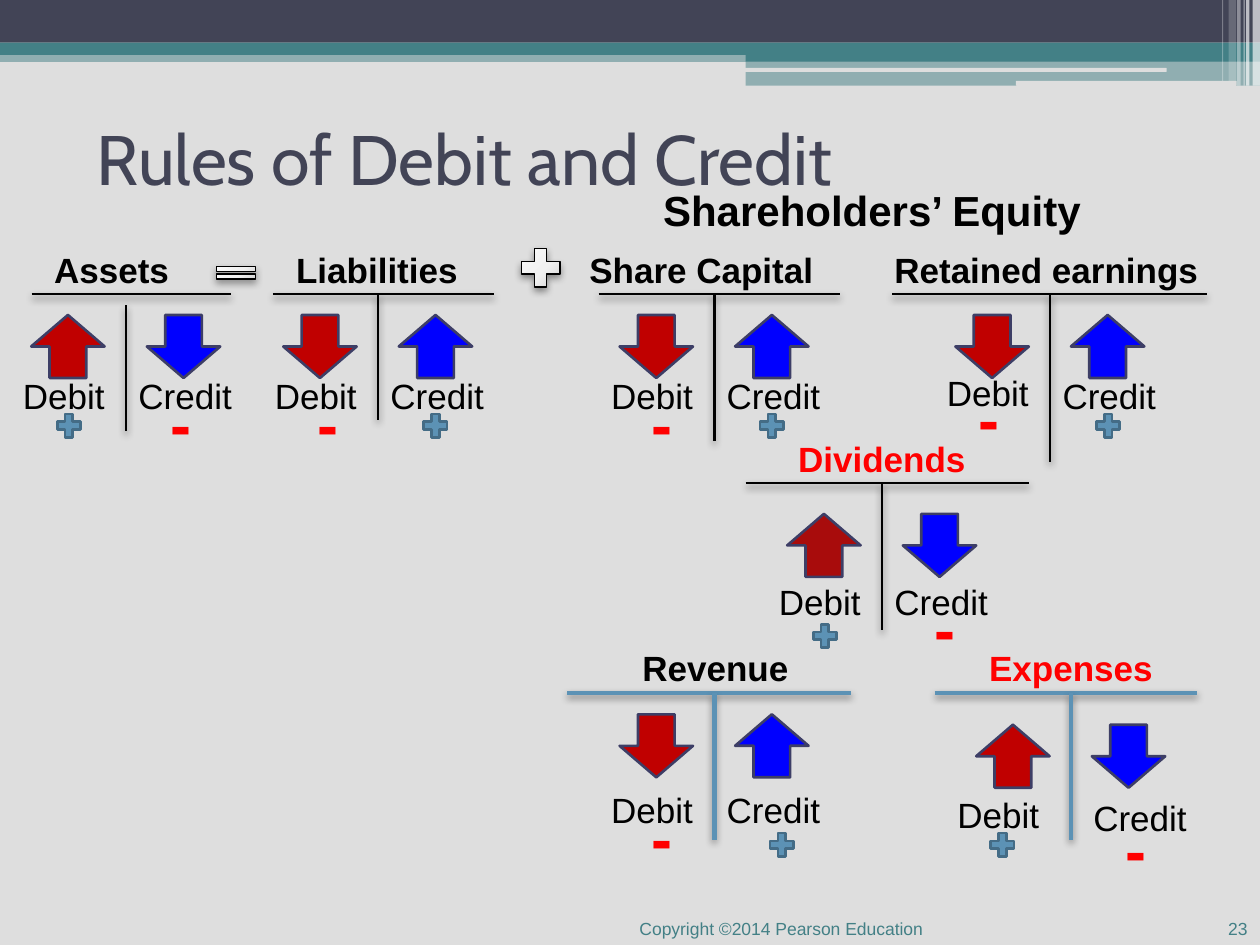
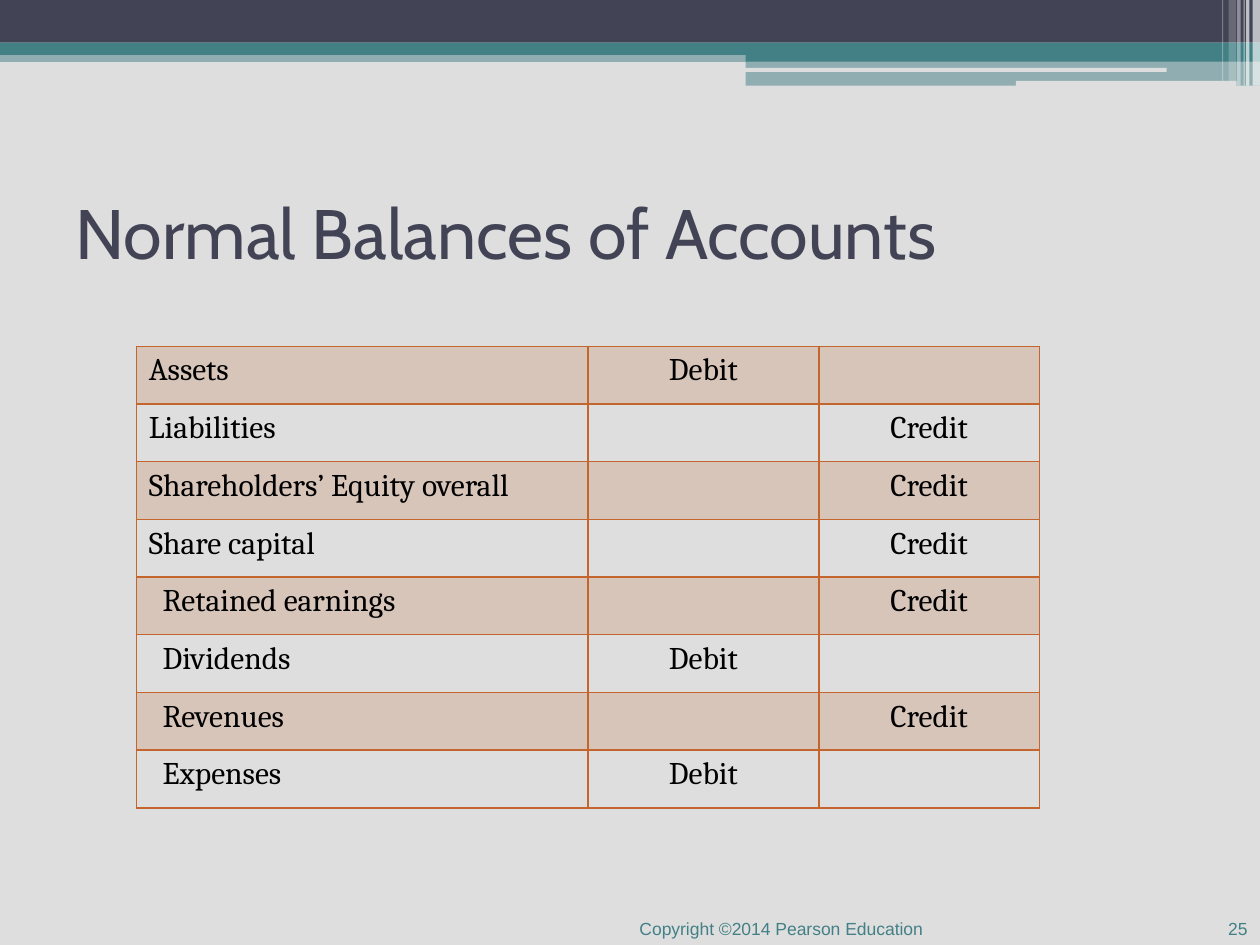
from dataclasses import dataclass
from typing import NamedTuple

from lxml.etree import SubElement
from pptx import Presentation
from pptx.dml.color import RGBColor
from pptx.enum.shapes import MSO_CONNECTOR, MSO_SHAPE
from pptx.enum.text import MSO_ANCHOR, MSO_AUTO_SIZE, PP_ALIGN
from pptx.oxml import parse_xml
from pptx.oxml.ns import nsdecls, qn
from pptx.util import Cm, Pt

COLOURS = {
    "background": "DEDEDE", "navy": "424456", "teal": "438086", "white": "FFFFFF",
    "black": "000000", "alert": "FF0000", "debit": "C00000", "dark debit": "A80C0C",
    "credit": "0000FF", "arrow edge": "3D3E66", "steel": "5C92B5",
    "plus edge": "446C86", "rust": "C4652D",
}
COPYRIGHT = "Copyright ©2014 Pearson Education"
ARROW_DX = {"Debit": -1.91, "Credit": 0.42}
BORDER_TAGS = ("a:lnL", "a:lnR", "a:lnT", "a:lnB")


class Box(NamedTuple):
    left: float
    top: float
    width: float
    height: float

    def lengths(self) -> tuple:
        return tuple(Cm(value) for value in self)


class Band(NamedTuple):
    box: Box
    colour: str
    opacity: int = 100
    rounded: bool = False


@dataclass
class Side:
    """Debit or credit half of an account, with its label and sign positions."""
    name: str
    increases: bool
    label: tuple[float, float]
    sign: tuple[float, float]
    colour: str = ""


@dataclass
class Account:
    name: str
    title: Box
    rule: tuple[float, float]
    rule_y: float
    stem_x: float
    stem: tuple[float, float]
    arrow_y: float
    sides: tuple[Side, Side]
    title_colour: str = "black"
    line_colour: str = "black"
    line_width: float = 1.5


BANDS = [
    Band(Box(0, 1.02, 25.4, 0.23), "teal", 50),
    Band(Box(0, 0, 25.4, 0.86), "navy"),
    Band(Box(0, 0.86, 25.4, 0.25), "teal"),
    Band(Box(15.03, 0.99, 10.37, 0.25), "teal"),
    Band(Box(15.03, 1.23, 10.37, 0.5), "teal", 50),
    Band(Box(15.01, 1.37, 8.51, 0.08), "background", rounded=True),
    Band(Box(20.48, 1.63, 4.45, 0.1), "background", rounded=True),
] + [
    Band(Box(left, 0, width, height), "white", opacity)
    for left, width, height, opacity in [
        (25.25, 0.15, 1.73, 65), (25.12, 0.07, 1.73, 65), (25.07, 0.02, 1.73, 60),
        (24.94, 0.07, 1.73, 40), (24.77, 0.15, 1.63, 20), (24.64, 0.02, 1.63, 30)]
]

ACCOUNTS = [
    Account("Assets", Box(0.84, 4.88, 3.61, 1.09), (0.64, 4.65), 5.93, 2.54, (6.15, 8.69), 6.35,
            (Side("Debit", True, (0.21, 7.42), (1.07, 8.26)),
             Side("Credit", False, (2.54, 7.42), (3.18, 7.62)))),
    Account("Liabilities", Box(5.72, 4.88, 4.45, 1.09), (5.5, 9.95), 5.93, 7.62, (5.93, 8.46), 6.35,
            (Side("Debit", False, (5.29, 7.42), (6.15, 7.62)),
             Side("Credit", True, (7.62, 7.42), (8.46, 8.26)))),
    Account("Share Capital", Box(11.63, 4.88, 5.72, 1.09), (12.07, 16.93), 5.93, 14.4, (5.93, 8.89), 6.35,
            (Side("Debit", False, (12.07, 7.42), (12.88, 7.62)),
             Side("Credit", True, (14.4, 7.42), (15.24, 8.26)))),
    Account("Retained earnings", Box(17.78, 4.88, 6.78, 1.09), (17.99, 24.34), 5.93, 21.17, (5.93, 9.31), 6.35,
            (Side("Debit", False, (18.84, 7.37), (19.48, 7.52)),
             Side("Credit", True, (21.17, 7.42), (22.02, 8.26)))),
    Account("Dividends", Box(15.84, 8.69, 4.24, 1.09), (15.03, 20.75), 9.74, 17.78, (9.74, 12.7), 10.36,
            (Side("Debit", True, (15.45, 11.58), (16.31, 12.5), "dark debit"),
             Side("Credit", False, (17.78, 11.58), (18.59, 11.76))), "alert"),
    Account("Revenue", Box(12.7, 12.9, 4.24, 1.09), (11.43, 17.15), 13.97, 14.4, (13.97, 16.93), 14.4,
            (Side("Debit", False, (12.07, 15.77), (12.88, 15.98)),
             Side("Credit", True, (14.4, 15.77), (15.44, 16.71))), "black", "steel", 2.5),
    Account("Expenses", Box(19.69, 12.9, 3.81, 1.09), (18.84, 24.13), 13.97, 21.59, (13.97, 16.93), 14.61,
            (Side("Debit", True, (19.05, 15.88), (19.89, 16.71)),
             Side("Credit", False, (21.79, 15.93), (22.43, 16.21))), "alert", "steel", 2.5),
]

# account, indent in cm, side of its normal balance
BALANCES = [
    ("Assets", 0, "Debit"), ("Liabilities", 0, "Credit"),
    ("Shareholders’ Equity overall", 0, "Credit"), ("Share capital", 0, "Credit"),
    ("Retained earnings", 0.28, "Credit"), ("Dividends", 0.28, "Debit"),
    ("Revenues", 0.28, "Credit"), ("Expenses", 0.28, "Debit"),
]


def rgb(name: str) -> RGBColor:
    return RGBColor.from_string(COLOURS[name])


def set_opacity(element, percent: int) -> None:
    """Make the first colour found in the element partly transparent."""
    SubElement(element.find(".//" + qn("a:srgbClr")), qn("a:alpha"), val=str(percent * 1000))


def add_shadow(element) -> None:
    properties = element.find(qn("p:spPr"))
    effects = properties.find(qn("a:effectLst"))
    if effects is None:
        effects = SubElement(properties, qn("a:effectLst"))
    shadow = SubElement(effects, qn("a:outerShdw"), blurRad="52070", dist="25400",
                        dir="5400000", rotWithShape="0")
    SubElement(SubElement(shadow, qn("a:srgbClr"), val=COLOURS["black"]), qn("a:alpha"), val="40000")


def add_figure(slide, kind, box: Box, fill: str, edge: str = "", edge_width: float = 1.5):
    figure = slide.shapes.add_shape(kind, *box.lengths())
    figure.shadow.inherit = False
    figure.fill.solid()
    figure.fill.fore_color.rgb = rgb(fill)
    if edge:
        figure.line.color.rgb = rgb(edge)
        figure.line.width = Pt(edge_width)
    else:
        figure.line.fill.background()
    return figure


def style_paragraph(paragraph, size: float, colour: str, face: str = "Arial",
                    bold: bool = False, align=PP_ALIGN.LEFT) -> None:
    paragraph.alignment = align
    font = paragraph.font
    font.size, font.name, font.bold = Pt(size), face, bold
    font.color.rgb = rgb(colour)


def add_text(slide, text: str, box: Box, size: float = 20, colour: str = "black",
             bold: bool = False, align=PP_ALIGN.LEFT, anchor=MSO_ANCHOR.TOP) -> None:
    frame = slide.shapes.add_textbox(*box.lengths()).text_frame
    frame.word_wrap = True
    frame.vertical_anchor = anchor
    frame.text = text
    style_paragraph(frame.paragraphs[0], size, colour, bold=bold, align=align)


def add_line(slide, start: tuple, end: tuple, colour: str, width: float) -> None:
    line = slide.shapes.add_connector(MSO_CONNECTOR.STRAIGHT, *(Cm(v) for v in start + end))
    line.line.color.rgb = rgb(colour)
    line.line.width = Pt(width)
    add_shadow(line.element)


def add_operator(slide, kind, box: Box) -> None:
    """Draw a sign of the accounting equation with a silver gradient."""
    operator = add_figure(slide, kind, box, "white", "black", 0.75)
    stops = "".join(f'<a:gs pos="{pos}"><a:srgbClr val="{colour}"/></a:gs>' for pos, colour in
                    [(0, "FEFEFE"), (55000, "F1F1F1"), (100000, "C5C5C5")])
    gradient = parse_xml(
        f'<a:gradFill {nsdecls("a")} rotWithShape="1"><a:gsLst>{stops}</a:gsLst><a:path path="circle">'
        '<a:fillToRect l="-40000" t="-90000" r="140000" b="190000"/></a:path></a:gradFill>')
    properties = operator.element.find(qn("p:spPr"))
    properties.replace(properties.find(qn("a:solidFill")), gradient)
    add_shadow(operator.element)


def add_side(slide, account: Account, side: Side) -> None:
    arrow_box = Box(account.stem_x + ARROW_DX[side.name], account.arrow_y, 1.48, 1.27)
    arrow = add_figure(slide, MSO_SHAPE.UP_ARROW, arrow_box,
                       side.colour or side.name.lower(), "arrow edge")
    arrow.rotation = 0 if side.increases else 180
    add_text(slide, side.name, Box(*side.label, 2.54, 1.09))
    if side.increases:
        add_figure(slide, MSO_SHAPE.MATH_PLUS, Box(*side.sign, 0.64, 0.64), "steel", "plus edge")
    else:
        add_text(slide, "-", Box(*side.sign, 1.7, 1.78), 36, "alert", bold=True)


def add_account(slide, account: Account) -> None:
    pen = account.line_colour, account.line_width
    left, right = account.rule
    top, bottom = account.stem
    add_line(slide, (left, account.rule_y), (right, account.rule_y), *pen)
    add_line(slide, (account.stem_x, top), (account.stem_x, bottom), *pen)
    add_text(slide, account.name, account.title, colour=account.title_colour, bold=True)
    for side in account.sides:
        add_side(slide, account, side)


def add_base_slide(deck, heading: str, box: Box, number: int):
    """Add a slide with the shared bands, title and footer."""
    slide = deck.slides.add_slide(deck.slide_layouts[5])
    for band in BANDS:
        kind = MSO_SHAPE.ROUNDED_RECTANGLE if band.rounded else MSO_SHAPE.RECTANGLE
        figure = add_figure(slide, kind, band.box, band.colour)
        if band.opacity < 100:
            set_opacity(figure.element, band.opacity)
    title = slide.shapes.title
    title.left, title.top, title.width, title.height = box.lengths()
    frame = title.text_frame
    frame.text = heading
    frame.auto_size = MSO_AUTO_SIZE.NONE
    frame.vertical_anchor = MSO_ANCHOR.MIDDLE
    style_paragraph(frame.paragraphs[0], 40, "navy", "Cabin")
    for text, footer in [(COPYRIGHT, Box(6.78, 18.2, 12.07, 0.85)),
                         (str(number), Box(23.29, 18.03, 2.11, 1.02))]:
        add_text(slide, text, footer, 10, "teal", align=PP_ALIGN.RIGHT, anchor=MSO_ANCHOR.BOTTOM)
    return slide


def format_cell(cell, shaded: bool) -> None:
    properties = cell._tc.get_or_add_tcPr()
    if shaded:
        cell.fill.solid()
        cell.fill.fore_color.rgb = rgb("rust")
        set_opacity(properties, 20)
    else:
        cell.fill.background()
    for position, tag in enumerate(BORDER_TAGS):
        properties.insert(position, parse_xml(
            f'<{tag} {nsdecls("a")} w="12700"><a:solidFill>'
            f'<a:srgbClr val="{COLOURS["rust"]}"/></a:solidFill></{tag}>'))


def add_balance_table(slide) -> None:
    box = Box(2.75, 6.98, 18.2, 9.31)
    table = slide.shapes.add_table(len(BALANCES), 3, *box.lengths()).table
    table.first_row = table.horz_banding = False
    for column, width in zip(table.columns, (9.1, 4.66, 4.44)):
        column.width = Cm(width)
    for index, (account, indent, balance) in enumerate(BALANCES):
        entries = (account, "Debit" if balance == "Debit" else "",
                   "Credit" if balance == "Credit" else "")
        for column, entry in enumerate(entries):
            cell = table.cell(index, column)
            cell.text = entry
            style_paragraph(cell.text_frame.paragraphs[0], 18, "black", "Cambria",
                            align=PP_ALIGN.CENTER if column else PP_ALIGN.LEFT)
            format_cell(cell, shaded=index % 2 == 0)
        table.cell(index, 0).margin_left = Cm(0.25 + indent)


def main() -> None:
    deck = Presentation()
    deck.slide_width, deck.slide_height = Cm(25.4), Cm(19.05)
    backdrop = deck.slide_master.background.fill
    backdrop.solid()
    backdrop.fore_color.rgb = rgb("background")

    rules = add_base_slide(deck, "Rules of Debit and Credit", Box(1.7, 1.9, 22.86, 2.54), 23)
    add_text(rules, "Shareholders’ Equity", Box(12.5, 3.6, 10.16, 1.27), 24,
             bold=True, align=PP_ALIGN.CENTER)
    add_operator(rules, MSO_SHAPE.MATH_EQUAL, Box(4.23, 5.29, 1.06, 0.42))
    add_operator(rules, MSO_SHAPE.MATH_PLUS, Box(10.37, 4.87, 1.06, 1.06))
    for account in ACCOUNTS:
        add_account(rules, account)

    balances = add_base_slide(deck, "Normal Balances of Accounts", Box(1.27, 3.18, 22.86, 2.96), 25)
    add_balance_table(balances)
    deck.save("out.pptx")


if __name__ == "__main__":
    main()
